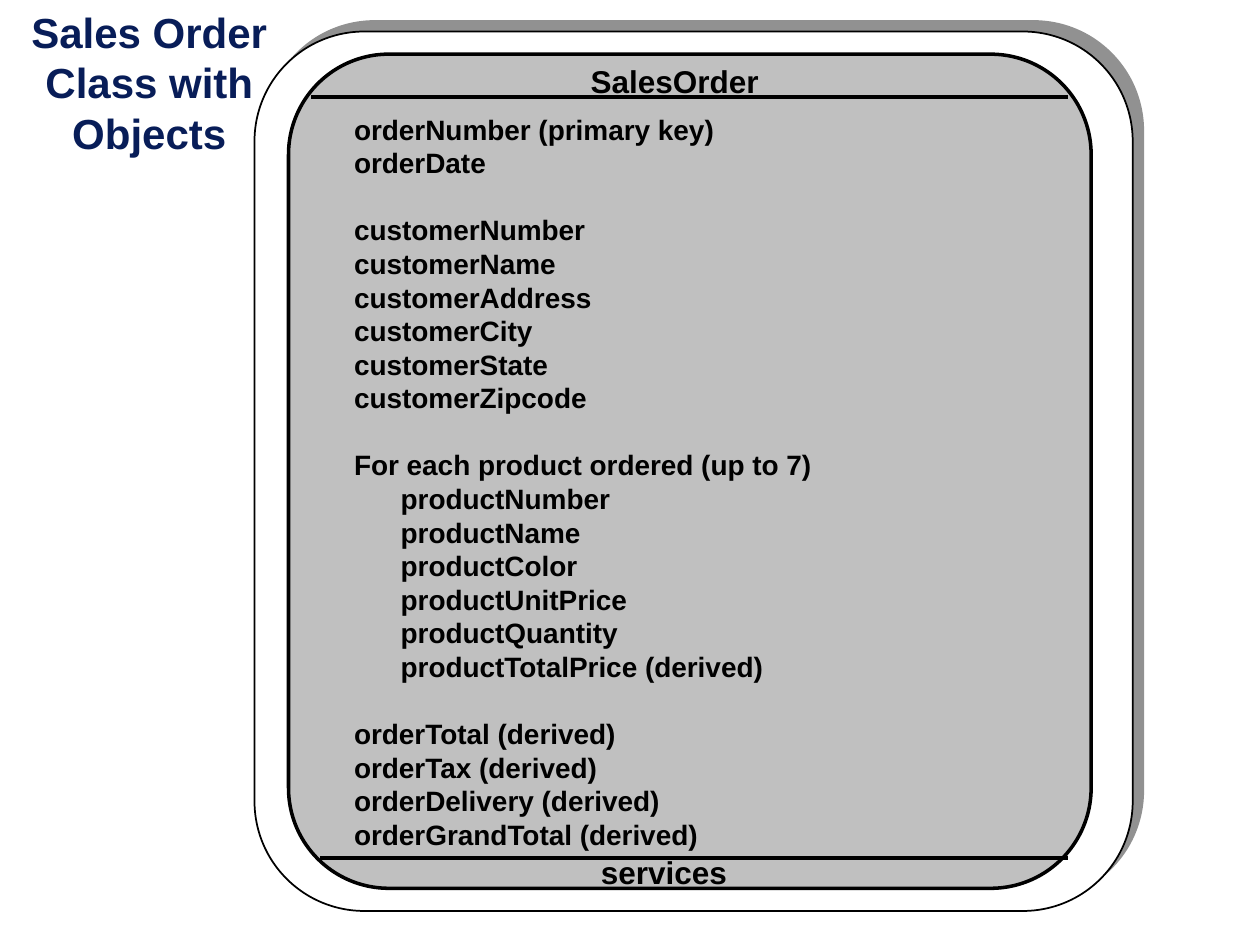
from dataclasses import dataclass

from lxml.etree import SubElement
from pptx import Presentation
from pptx.dml.color import RGBColor
from pptx.enum.shapes import MSO_CONNECTOR, MSO_SHAPE
from pptx.enum.text import MSO_ANCHOR, MSO_AUTO_SIZE, PP_ALIGN
from pptx.oxml.ns import qn
from pptx.util import Inches, Pt


@dataclass(frozen=True)
class Theme:
    """Colours, type sizes and font of the slide."""

    navy: str = "081D58"
    black: str = "000000"
    white: str = "FFFFFF"
    grey: str = "C0C0C0"
    shade: str = "919191"
    font: str = "Arial"
    title: int = 24
    label: int = 18
    body: int = 16
    lead: float = 1.2


@dataclass(frozen=True)
class Box:
    """A place on the slide in inches."""

    left: float
    top: float
    width: float
    height: float

    def lengths(self) -> tuple:
        """Return the four values as lengths."""
        return tuple(map(Inches, (self.left, self.top, self.width, self.height)))


@dataclass(frozen=True)
class Panel:
    """A rounded panel."""

    box: Box
    fill: str
    line: float
    shade: bool = False


@dataclass(frozen=True)
class Line:
    """One line of text with its indent and gap above."""

    text: str
    indent: float = 0
    gap: float = 0


@dataclass(frozen=True)
class Label:
    """A heading inside the class panel."""

    text: str
    box: Box


@dataclass(frozen=True)
class Rule:
    """A level line across the class panel."""

    left: float
    right: float
    top: float


THEME = Theme()
TITLE = ("Sales Order", "Class with", "Objects")
GROUPS = (
    (0, ("orderNumber (primary key)", "orderDate")),
    (0, ("customerNumber", "customerName", "customerAddress",
         "customerCity", "customerState", "customerZipcode")),
    (0.37, ("For each product ordered (up to 7)", "productNumber",
            "productName", "productColor", "productUnitPrice",
            "productQuantity", "productTotalPrice (derived)")),
    (0, ("orderTotal (derived)", "orderTax (derived)",
         "orderDelivery (derived)", "orderGrandTotal (derived)")),
)
OUTER = Panel(Box(2.02, 0.25, 6.97, 6.98), THEME.white, 1, True)
INNER = Panel(Box(2.29, 0.43, 6.37, 6.62), THEME.grey, 2)
RULES = (Rule(2.47, 8.48, 0.77), Rule(2.54, 8.48, 6.81))
LABELS = (
    Label("SalesOrder", Box(4.59, 0.44, 1.57, 0.4)),
    Label("services", Box(4.67, 6.72, 1.2, 0.4)),
)


def add_panel(slide, panel: Panel) -> None:
    """Draw a rounded panel, with a hard shadow if asked."""
    shape = slide.shapes.add_shape(MSO_SHAPE.ROUNDED_RECTANGLE, *panel.box.lengths())
    shape.adjustments[0] = 0.125
    shape.shadow.inherit = False
    shape.fill.solid()
    shape.fill.fore_color.rgb = RGBColor.from_string(panel.fill)
    shape.line.color.rgb = RGBColor.from_string(THEME.black)
    shape.line.width = Pt(panel.line)
    if panel.shade:
        effects = shape.element.spPr.find(qn("a:effectLst"))
        shadow = SubElement(effects, qn("a:outerShdw"), blurRad="0",
                            dist=str(Pt(8.5)), dir=str(315 * 60000),
                            algn="ctr", rotWithShape="0")
        SubElement(shadow, qn("a:srgbClr"), val=THEME.shade)


def add_rule(slide, rule: Rule) -> None:
    """Draw a level line."""
    top = Inches(rule.top)
    line = slide.shapes.add_connector(
        MSO_CONNECTOR.STRAIGHT, Inches(rule.left), top, Inches(rule.right), top)
    line.line.color.rgb = RGBColor.from_string(THEME.black)
    line.line.width = Pt(2)
    SubElement(line.element.spPr, qn("a:effectLst"))


def write(shape, lines: list[Line], size: int, color: str,
          align: PP_ALIGN = PP_ALIGN.LEFT) -> None:
    """Fill a text shape with bold lines."""
    frame = shape.text_frame
    frame.word_wrap = False
    frame.auto_size = MSO_AUTO_SIZE.SHAPE_TO_FIT_TEXT
    frame.vertical_anchor = MSO_ANCHOR.TOP
    frame.margin_left = frame.margin_right = Inches(0.1)
    frame.margin_top = frame.margin_bottom = Inches(0.05)
    for place, line in enumerate(lines):
        para = frame.add_paragraph() if place else frame.paragraphs[0]
        props = para._p.get_or_add_pPr()
        props.set("marL", str(Inches(line.indent)))
        props.set("indent", "0")
        SubElement(props, qn("a:buNone"))
        para.alignment = align
        para.line_spacing = Pt(size * THEME.lead)
        para.space_before = Pt(line.gap)
        para.space_after = Pt(0)
        run = para.add_run()
        run.text = line.text
        run.font.name = THEME.font
        run.font.size = Pt(size)
        run.font.bold = True
        run.font.color.rgb = RGBColor.from_string(color)


def set_place(shape, box: Box) -> None:
    """Move a placeholder to its box and to the front."""
    shape.left, shape.top, shape.width, shape.height = box.lengths()
    shape.element.getparent().append(shape.element)


def list_fields() -> list[Line]:
    """Return the fields, with a blank line's gap between groups."""
    gap = THEME.body * THEME.lead
    return [
        Line(text, indent if place else 0, 0 if place or not group else gap)
        for group, (indent, names) in enumerate(GROUPS)
        for place, text in enumerate(names)
    ]


def main() -> None:
    """Build and save the slide."""
    deck = Presentation()
    deck.slide_width, deck.slide_height = Inches(10), Inches(7.5)
    slide = deck.slides.add_slide(deck.slide_layouts[1])
    title, body = slide.shapes.title, slide.placeholders[1]

    add_panel(slide, OUTER)
    set_place(title, Box(0.13, 0, 2.11, 1.3))
    write(title, [Line(text) for text in TITLE], THEME.title, THEME.navy,
          PP_ALIGN.CENTER)
    add_panel(slide, INNER)
    set_place(body, Box(2.71, 0.84, 3.98, 5.96))
    write(body, list_fields(), THEME.body, THEME.black)
    for rule, label in zip(RULES, LABELS):
        add_rule(slide, rule)
        shape = slide.shapes.add_textbox(*label.box.lengths())
        write(shape, [Line(label.text)], THEME.label, THEME.black)
    deck.save("out.pptx")


if __name__ == "__main__":
    main()
